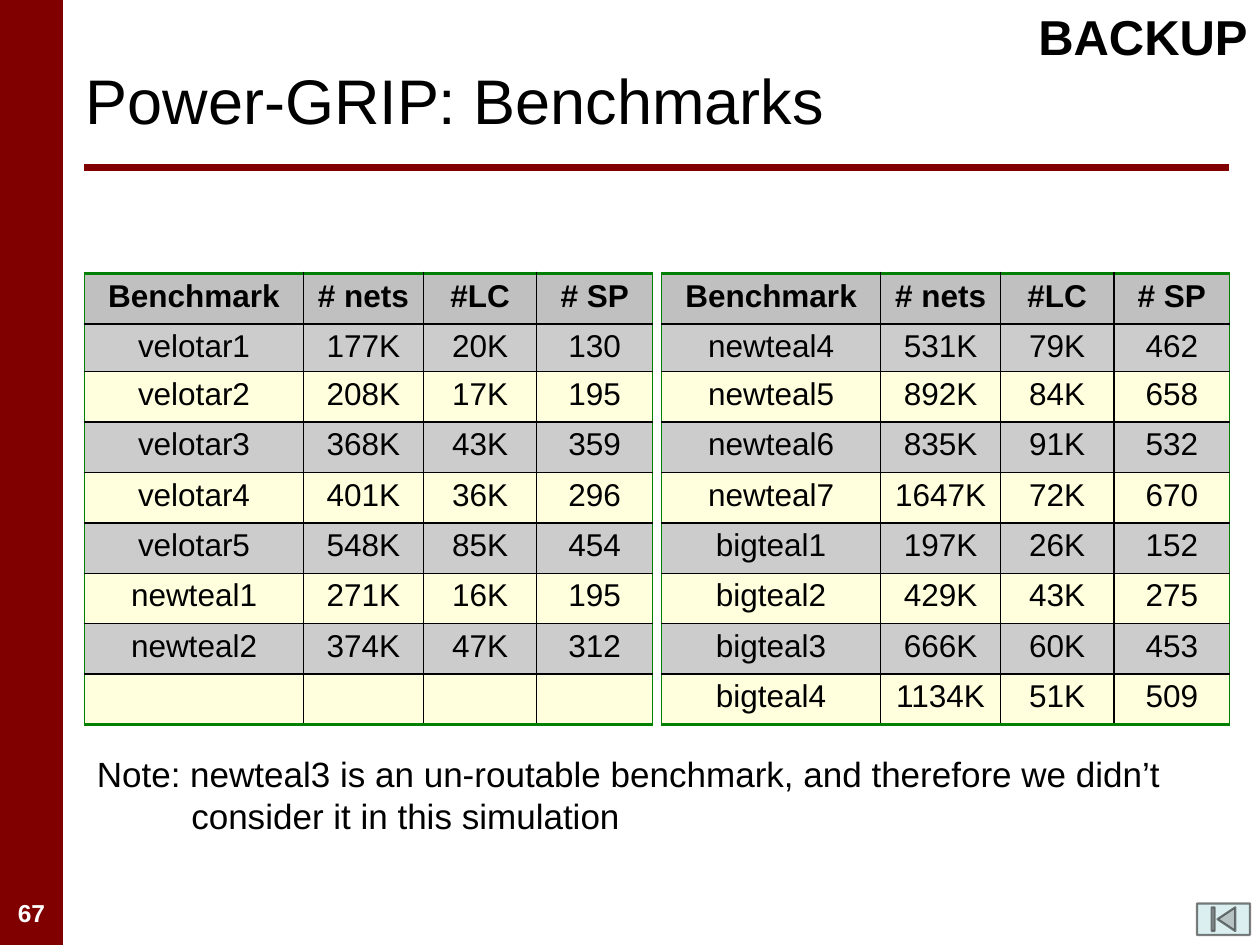
from lxml import etree
from pptx import Presentation
from pptx.dml.color import RGBColor
from pptx.enum.shapes import MSO_CONNECTOR, MSO_SHAPE
from pptx.enum.text import MSO_ANCHOR, PP_ALIGN
from pptx.oxml.ns import qn
from pptx.util import Inches, Pt

LEFT, CENTER, RIGHT = PP_ALIGN.LEFT, PP_ALIGN.CENTER, PP_ALIGN.RIGHT
MIDDLE = MSO_ANCHOR.MIDDLE
STRAIGHT = MSO_CONNECTOR.STRAIGHT
RECTANGLE = MSO_SHAPE.RECTANGLE
BACK_BUTTON = MSO_SHAPE.ACTION_BUTTON_BEGINNING

COLORS = {
    "maroon": "800000", "black": "000000", "white": "FFFFFF",
    "header": "C0C0C0", "gray": "CCCCCC", "cream": "FFFFDD",
    "green": "008000", "button": "BBE0E3",
}


def rgb(name):
    return RGBColor.from_string(COLORS[name])


def write(frame, text, size, color="black", bold=False, align=LEFT):
    """Fill a text frame with one formatted paragraph."""
    para = frame.paragraphs[0]
    para.text = text
    para.alignment = align
    para.font.color.rgb = rgb(color)
    formats = {"name": "Arial", "size": Pt(size), "bold": bold}
    for span in para.runs:
        span.font.color.rgb = rgb(color)
        for key, value in formats.items():
            setattr(span.font, key, value)
    return para


deck = Presentation()
deck.slide_width, deck.slide_height = Inches(10), Inches(7.5)
page = deck.slides.add_slide(deck.slide_layouts[5])  # Title Only

# Side bar and rule under the title
bar = page.shapes.add_shape(RECTANGLE, 0, 0, Inches(0.5), Inches(7.5))
bar.shadow.inherit = False
bar.fill.solid()
bar.fill.fore_color.rgb = rgb("maroon")
bar.line.fill.background()

rule = page.shapes.add_connector(
    STRAIGHT, Inches(0.67), Inches(1.33), Inches(9.75), Inches(1.33))
rule.line.color.rgb = rgb("maroon")
rule.line.width = Pt(4)
etree.SubElement(rule.element.spPr, qn("a:effectLst"))

# Title
title = page.shapes.title
title.left, title.top = Inches(0.58), Inches(0.25)
title.width, title.height = Inches(9.17), Inches(1.08)
title.text_frame.vertical_anchor = MIDDLE
write(title.text_frame, "Power-GRIP: Benchmarks", 36)

# Page number, corner label and note
texts = [
    ("67", (0, 7.08, 0.5, 0.33), 14, "white", True, CENTER),
    ("BACKUP", (8, 0, 2, 0.57), 28, "black", True, RIGHT),
    ("Note: newteal3 is an un-routable benchmark, and therefore we didn’t"
     "\vconsider it in this simulation",
     (0.67, 5.92, 9.33, 0.92), 20, "black", False, LEFT),
]
for text, place, *style in texts:
    box = page.shapes.add_textbox(*[Inches(value) for value in place])
    box.text_frame.word_wrap = True
    para = write(box.text_frame, text, *style)

# Hanging indent for the second line of the note
indent = para._p.get_or_add_pPr()
indent.set("marL", str(Inches(0.75)))
indent.set("indent", str(-Inches(0.75)))

# Benchmark tables
HEADER = ["Benchmark", "# nets", "#LC", "# SP"]
COLUMN_WIDTHS = [1.74, 0.95, 0.9, 0.92]
ROW_HEIGHTS = [0.4, 0.37] + [0.4] * 7
TABLES = {
    0.67: [
        ["velotar1", "177K", "20K", "130"],
        ["velotar2", "208K", "17K", "195"],
        ["velotar3", "368K", "43K", "359"],
        ["velotar4", "401K", "36K", "296"],
        ["velotar5", "548K", "85K", "454"],
        ["newteal1", "271K", "16K", "195"],
        ["newteal2", "374K", "47K", "312"],
        ["", "", "", ""],
    ],
    5.25: [
        ["newteal4", "531K", "79K", "462"],
        ["newteal5", "892K", "84K", "658"],
        ["newteal6", "835K", "91K", "532"],
        ["newteal7", "1647K", "72K", "670"],
        ["bigteal1", "197K", "26K", "152"],
        ["bigteal2", "429K", "43K", "275"],
        ["bigteal3", "666K", "60K", "453"],
        ["bigteal4", "1134K", "51K", "509"],
    ],
}
last_row, last_column = len(ROW_HEIGHTS) - 1, len(HEADER) - 1

for left, records in TABLES.items():
    table = page.shapes.add_table(
        len(ROW_HEIGHTS), len(HEADER), Inches(left), Inches(2.17),
        Inches(4.5), Inches(3.6)).table
    table.first_row = table.horz_banding = False
    for column, width in zip(table.columns, COLUMN_WIDTHS):
        column.width = Inches(width)
    for row, height in zip(table.rows, ROW_HEIGHTS):
        row.height = Inches(height)

    for r, record in enumerate([HEADER] + records):
        for c, text in enumerate(record):
            cell = table.cell(r, c)
            cell.margin_top = cell.margin_bottom = Inches(0.04)
            write(cell.text_frame, text, 18, bold=r == 0, align=CENTER)

            # Green outer frame, thicker at top and bottom; thin black grid
            borders = {
                "a:lnL": (c == 0, 1), "a:lnR": (c == last_column, 1),
                "a:lnT": (r == 0, 2.25), "a:lnB": (r == last_row, 2.25),
            }
            properties = cell._tc.get_or_add_tcPr()
            for tag, (outer, weight) in borders.items():
                edge = etree.SubElement(properties, qn(tag))
                edge.set("w", str(Pt(weight if outer else 1)))
                paint = etree.SubElement(edge, qn("a:solidFill"))
                color = COLORS["green" if outer else "black"]
                etree.SubElement(paint, qn("a:srgbClr"), val=color)

            cell.fill.solid()
            band = "gray" if r % 2 else "cream"
            cell.fill.fore_color.rgb = rgb(band if r else "header")

# Half-transparent back button
button = page.shapes.add_shape(
    BACK_BUTTON, Inches(9.5), Inches(7.17), Inches(0.42), Inches(0.25))
button.shadow.inherit = False
button.fill.solid()
button.fill.fore_color.rgb = rgb("button")
button.line.color.rgb = rgb("black")
button.line.width = Pt(1.25)
for color in button.element.spPr.iter(qn("a:srgbClr")):
    etree.SubElement(color, qn("a:alpha"), val="50000")

deck.save("out.pptx")
